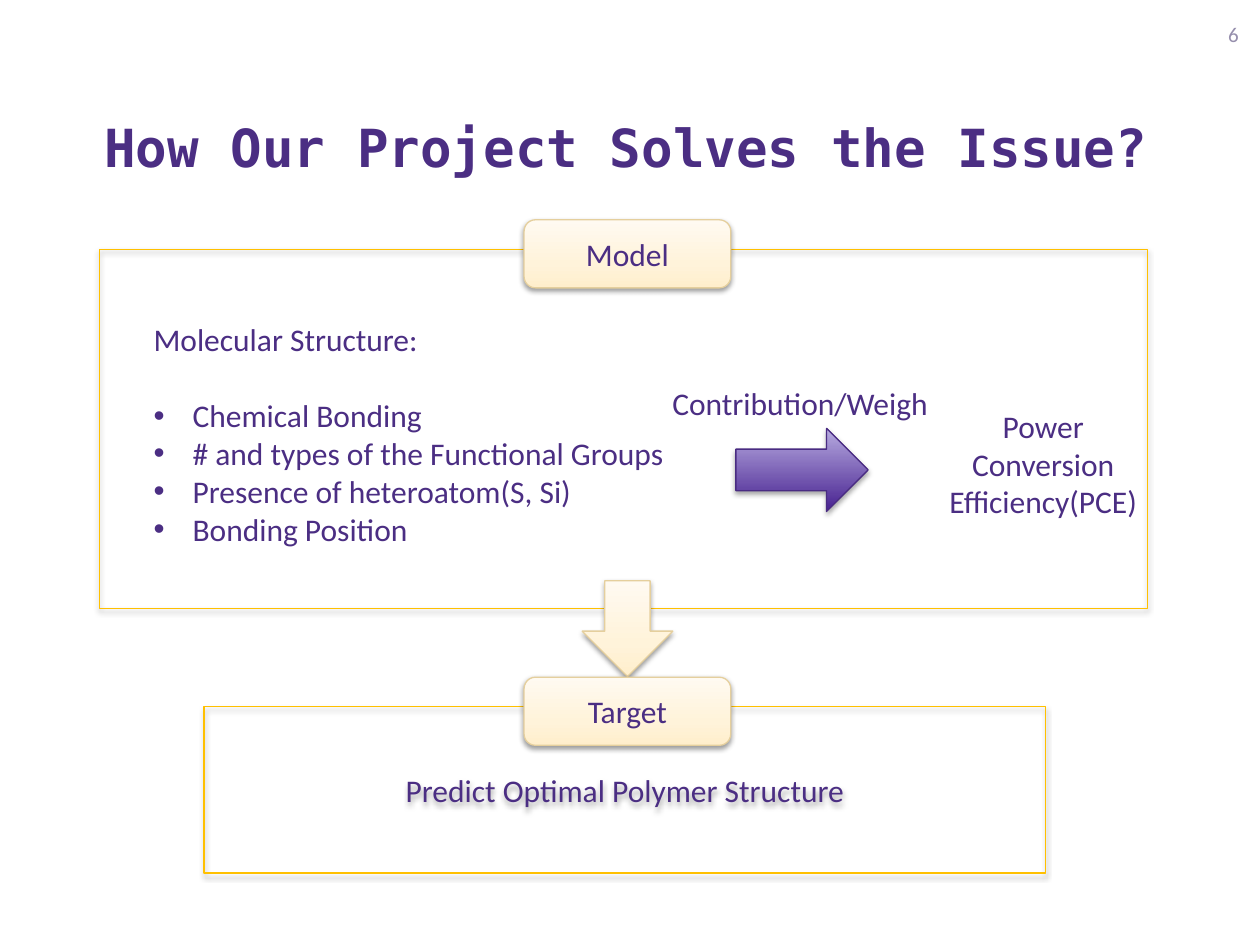
from copy import deepcopy

from pptx import Presentation
from pptx.dml.color import RGBColor
from pptx.enum.shapes import MSO_SHAPE
from pptx.enum.text import MSO_ANCHOR, MSO_AUTO_SIZE, PP_ALIGN
from pptx.oxml import parse_xml
from pptx.oxml.ns import nsdecls, qn
from pptx.util import Inches, Pt

# Grid of 100 columns by 75 rows on a 10 x 7.5 inch slide
COLUMNS, ROWS = 100, 75
WIDTH, HEIGHT = Inches(10), Inches(7.5)
AXIS = 49.8  # column on which the badges and the down arrow are centred

PURPLE, GOLD, CREAM_EDGE = "4B2E83", "FFC000", "E5CF9D"
CREAM_STOPS = [(0, "FFEECC"), (0.35, "FFF3DA"), (1, "FFFAF1")]
PURPLE_STOPS = [(0, "472190"), (1, "B7ABE0")]


def color(hex_string):
    return RGBColor.from_string(hex_string)


def place(left, top, width, height):
    return (round(WIDTH * left / COLUMNS), round(HEIGHT * top / ROWS),
            round(WIDTH * width / COLUMNS), round(HEIGHT * height / ROWS))


def add_bullet(paragraph):
    properties = paragraph._p.get_or_add_pPr()
    properties.set("marL", str(Inches(0.31)))
    properties.set("indent", str(-Inches(0.31)))
    properties.append(parse_xml(f'<a:buFont {nsdecls("a")} typeface="Arial"/>'))
    properties.append(parse_xml(f'<a:buChar {nsdecls("a")} char="•"/>'))


def write(frame, *lines, size=18, font="Calibri", ink=PURPLE, bold=False,
          align=PP_ALIGN.CENTER, anchor=MSO_ANCHOR.TOP, bullets_from=None, gap=0):
    """Write lines; those from index bullets_from on form a list set off by gap."""
    frame.word_wrap = True
    frame.vertical_anchor = anchor
    for index, line in enumerate(lines):
        paragraph = frame.paragraphs[0] if index == 0 else frame.add_paragraph()
        paragraph.alignment = align
        if bullets_from is not None and index >= bullets_from:
            if index == bullets_from:
                paragraph.space_before = Pt(gap)
            add_bullet(paragraph)
        run = paragraph.add_run()
        run.text = line
        run.font.size, run.font.name, run.font.bold = Pt(size), font, bold
        run.font.color.rgb = color(ink)


def add_label(slide, box, *lines, grow=True, **text_format):
    frame = slide.shapes.add_textbox(*place(*box)).text_frame
    write(frame, *lines, **text_format)
    frame.auto_size = MSO_AUTO_SIZE.SHAPE_TO_FIT_TEXT if grow else MSO_AUTO_SIZE.NONE


def add_shadow(shape, opacity, distance):
    shape.shadow.inherit = False
    shape._element.spPr.find(qn("a:effectLst")).append(parse_xml(
        f'<a:outerShdw {nsdecls("a")} blurRad="{Pt(3.1)}" dist="{Pt(distance)}" '
        f'dir="5400000" rotWithShape="0"><a:srgbClr val="000000">'
        f'<a:alpha val="{opacity * 1000}"/></a:srgbClr></a:outerShdw>'))


def add_figure(slide, preset, box, edge, stops=None, opacity=35, distance=1.8):
    figure = slide.shapes.add_shape(preset, *place(*box))
    figure.line.color.rgb = color(edge)
    figure.line.width = Pt(0.75)
    if stops:
        figure.fill.gradient()
        figure.fill.gradient_angle = 90
        stop_list = figure._element.spPr.find(".//" + qn("a:gsLst"))
        for _ in stops[2:]:
            stop_list.append(deepcopy(stop_list[-1]))
        for stop, (position, shade) in zip(figure.fill.gradient_stops, stops):
            stop.position = position
            stop.color.rgb = color(shade)
    else:
        figure.fill.background()
    add_shadow(figure, opacity, distance)
    return figure


def add_cream_figure(slide, preset, top, width, height):
    box = (AXIS - width / 2, top, width, height)
    return add_figure(slide, preset, box, CREAM_EDGE, CREAM_STOPS, 38, 1.6)


def add_badge(slide, panel_top, name):
    badge = add_cream_figure(slide, MSO_SHAPE.ROUNDED_RECTANGLE,
                             panel_top - 2.35, 16.4, 5.4)
    write(badge.text_frame, name, anchor=MSO_ANCHOR.MIDDLE)


def add_header(slide, box):
    left, top, width, height = box
    add_label(slide, (left + 7.3, top + 3.8, width - 10.5, height - 3.8),
              "How Our Project Solves the Issue?", grow=False, size=30,
              font="DejaVu Sans Mono", bold=True,
              align=PP_ALIGN.LEFT, anchor=MSO_ANCHOR.BOTTOM)
    # Slide number
    add_label(slide, (left + 76.8, top + 0.7, 22.5, 4), "6", grow=False, size=12,
              ink="968FAD", align=PP_ALIGN.RIGHT, anchor=MSO_ANCHOR.MIDDLE)


def add_model(slide, box):
    left, top, _, height = box
    # Result, inputs and the weighted arrow between them
    add_label(slide, (left + 64.9, top + 12, 20, 10.1),
              "Power Conversion Efficiency(PCE)")
    add_label(slide, (left + 3.3, top + 5.1, 43.1, 19.2),
              "Molecular Structure:",
              "Chemical Bonding",
              "# and types of the Functional Groups",
              "Presence of heteroatom(S, Si)",
              "Bonding Position",
              align=PP_ALIGN.LEFT, bullets_from=1, gap=22)
    add_figure(slide, MSO_SHAPE.RIGHT_ARROW, (left + 50.5, top + 14.2, 10.5, 6.6),
               "492B82", PURPLE_STOPS)
    add_label(slide, (left + 42.7, top + 10.2, 25.8, 4), "Contribution/Weigh")
    # Frame, its badge and the arrow leading on to the target
    add_figure(slide, MSO_SHAPE.RECTANGLE, box, GOLD)
    add_badge(slide, top, "Model")
    add_cream_figure(slide, MSO_SHAPE.DOWN_ARROW, top + height - 2.2, 7.2, 7.6)


def add_target(slide, box):
    panel = add_figure(slide, MSO_SHAPE.RECTANGLE, box, GOLD)
    write(panel.text_frame, "Predict Optimal Polymer Structure",
          anchor=MSO_ANCHOR.MIDDLE)
    add_badge(slide, box[1], "Target")


def main():
    deck = Presentation()
    deck.slide_width, deck.slide_height = WIDTH, HEIGHT
    slide = deck.slides.add_slide(deck.slide_layouts[6])
    add_header(slide, (0, 0, COLUMNS, 14.6))
    add_model(slide, (7.9, 19.8, 83.2, 28.5))
    add_target(slide, (16.2, 56.1, 66.8, 13.2))
    deck.save("out.pptx")


if __name__ == "__main__":
    main()
